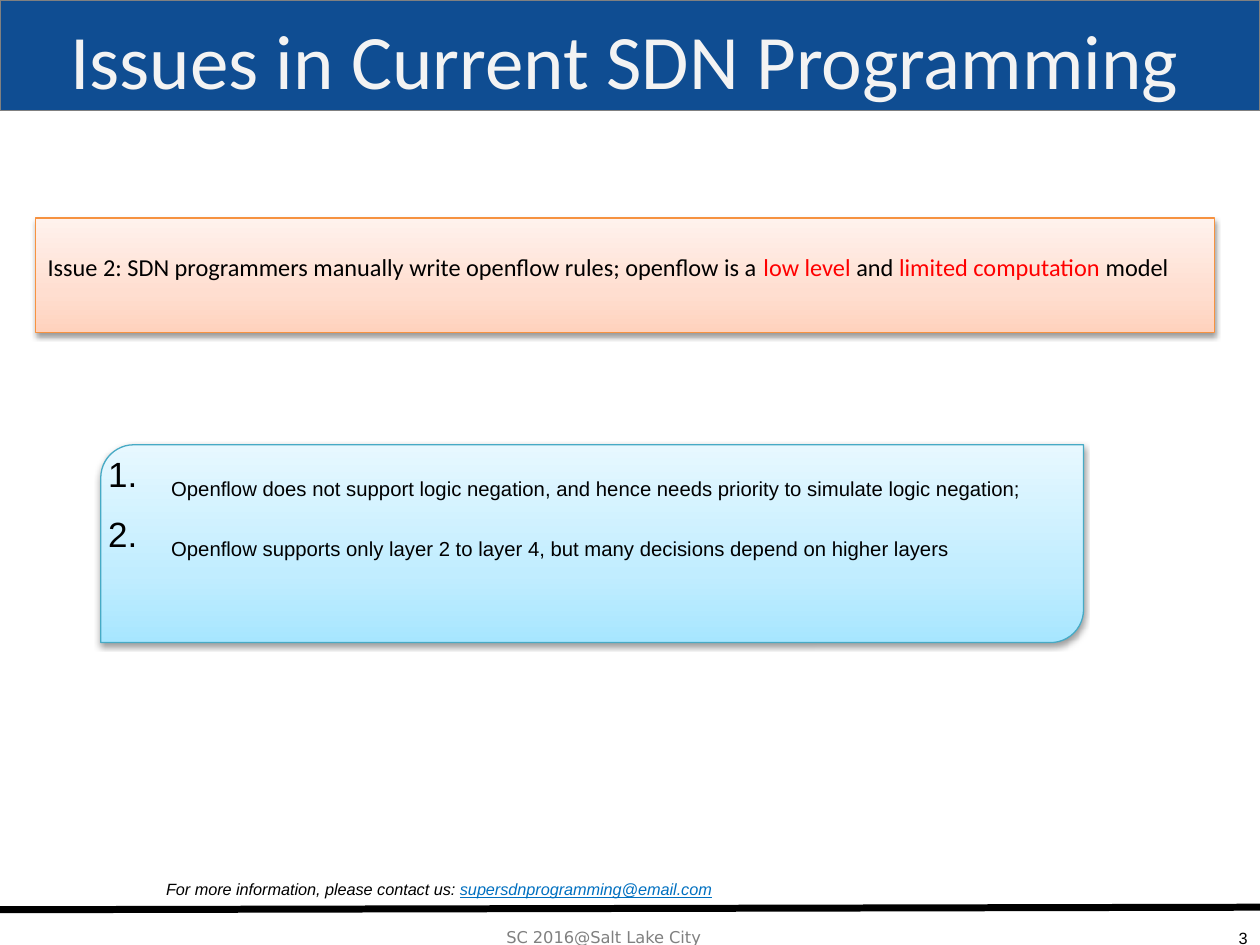
from copy import deepcopy

from lxml import etree
from pptx import Presentation, util as u
from pptx.dml.color import RGBColor
from pptx.enum import shapes, text
from pptx.oxml import ns, parse_xml

rgb = RGBColor.from_string
prs = Presentation()
prs.slide_width, prs.slide_height = u.Inches(10), u.Inches(7.5)
W, H = prs.slide_width, prs.slide_height
s = prs.slides.add_slide(prs.slide_layouts[5])

SHADOW = (f'<a:effectLst {ns.nsdecls("a")}><a:outerShdw blurRad="%d" dist="%d" dir="%d" '
          'rotWithShape="0"><a:srgbClr val="000000"><a:alpha val="%d"/></a:srgbClr>'
          '</a:outerShdw></a:effectLst>')


def at(left, top, width, height):
    """Turn percentages of the slide's size into lengths."""
    return [int(share * side / 100) for share, side in
            zip((left, top, width, height), (W, H, W, H))]


def write(sp, paragraphs, wrap=True, lowered=True, before=0,
          align=text.PP_ALIGN.LEFT, anchor=text.MSO_ANCHOR.TOP, **fonts):
    """Fill sp with paragraphs, each a list of (text, font values) runs."""
    tf = sp.text_frame
    tf.word_wrap, tf.vertical_anchor = wrap, anchor
    for i, runs in enumerate(paragraphs):
        p = tf.add_paragraph() if i else tf.paragraphs[0]
        p.alignment, p.space_before = align, u.Pt(before)
        for words, own in runs:
            r = p.add_run()
            r.text = words
            values = {"color": "000000", **fonts, **own}
            r.font.color.rgb = rgb(values.pop("color"))
            for name, value in values.items():
                setattr(r.font, name, value)
            if lowered:
                r._r.get_or_add_rPr().set("baseline", "-25000")
    return tf


# Header band, with the title on it
band = s.shapes.add_shape(shapes.MSO_SHAPE.RECTANGLE, *at(0, 0, 100, 11.73))
band.shadow.inherit = False
band.fill.solid()
band.fill.fore_color.rgb = rgb("0F4D92")
band.line.color.rgb = rgb("808080")
band.line.width = u.Pt(0.75)
s.shapes._spTree.insert(2, band._element)

title = s.shapes.title
title.left, title.top, title.width, title.height = at(2.8, 1.2, 93.6, 10)
tf = write(title, [[("Issues in Current SDN Programming", {})]], lowered=False,
           align=text.PP_ALIGN.CENTER, anchor=text.MSO_ANCHOR.MIDDLE,
           size=u.Pt(44), name="Calibri", color="F3F3F3")
tf.auto_size = text.MSO_AUTO_SIZE.NONE
rPr = tf.paragraphs[0].runs[0]._r.get_or_add_rPr()
rPr.find(ns.qn("a:solidFill")).addnext(parse_xml(SHADOW % (38100, 38100, 2700000, 43000)))

# Footer rule and conference name
rule = s.shapes.add_connector(shapes.MSO_CONNECTOR.STRAIGHT, *at(0, 96.27, 100, 96))
rule.line.color.rgb = rgb("000000")
rule.line.width = u.Pt(4)
etree.SubElement(rule._element.spPr, ns.qn("a:effectLst"))
venue = s.shapes.add_textbox(*at(39.2, 95.47, 29.4, 4.93))
tf = write(venue, [[("SC 2016@Salt Lake City", {})]], wrap=False,
           size=u.Pt(16), name="DejaVu Sans", color="808080")
tf.auto_size = text.MSO_AUTO_SIZE.SHAPE_TO_FIT_TEXT

# Shaded panels: gradient runs from the bottom up
panels = []
for shape, place, line, stops in [
    (shapes.MSO_SHAPE.RECTANGLE, at(2.8, 23.07, 93.6, 12.13), "F69240",
     ("FFD2BD", "FFDED0", "FFF2ED")),
    (shapes.MSO_SHAPE.ROUND_2_DIAG_RECTANGLE, at(8, 47.07, 78, 20.93), "46AAC5",
     ("A7E6FF", "C1EDFF", "E7F8FF")),
]:
    sp = s.shapes.add_shape(shape, *place)
    sp.fill.gradient()
    sp.fill.gradient_angle = 90
    first = sp._element.spPr.find(".//" + ns.qn("a:gs"))
    first.addnext(deepcopy(first))
    for stop, position, colour in zip(sp.fill.gradient_stops, (0, 0.35, 1), stops):
        stop.position, stop.color.rgb = position, rgb(colour)
    sp.line.color.rgb = rgb(line)
    sp.line.width = u.Pt(0.75)
    sp._element.spPr.append(parse_xml(SHADOW % (40000, 20000, 5400000, 38000)))
    panels.append(sp)

red = {"color": "FF0000"}
write(panels[0], [[
    ("Issue 2: SDN programmers manually write openflow rules; openflow is a ", {}),
    ("low level ", red), ("and ", {}), ("limited computation ", red), ("model", {}),
]], before=7, size=u.Pt(24), name="Calibri")

reasons = s.shapes.add_textbox(*at(7.6, 47.2, 78.3, 20.67))
tf = write(reasons, [
    [("Openflow does not support logic negation, and hence needs priority "
      "to simulate logic negation;", {})],
    [("Openflow supports only layer 2 to layer 4, but many decisions depend "
      "on higher layers", {})],
], before=7, size=u.Pt(20), name="Arial")
for p in tf.paragraphs:
    pPr = p._p.get_or_add_pPr()
    pPr.set("marL", str(u.Inches(0.5)))
    pPr.set("indent", str(-u.Inches(0.5)))
    etree.SubElement(pPr, ns.qn("a:buFont"), typeface="+mj-lt")
    etree.SubElement(pPr, ns.qn("a:buAutoNum"), type="arabicPeriod")
    pPr.find(ns.qn("a:buFont")).set("typeface", "Arial")

# Contact line and slide number
contact = s.shapes.add_textbox(*at(12.2, 90.4, 78.4, 4.93))
write(contact, [[
    ("For more information, please contact us: ", {}),
    ("supersdnprogramming@email.com", {"color": "0070C0", "underline": True}),
]], size=u.Pt(16), name="Arial", italic=True)
number = s.shapes.add_textbox(*at(79.2, 95.6, 20.8, 4.4))
write(number, [[("3", {})]], align=text.PP_ALIGN.RIGHT, size=u.Pt(16), name="Arial")

prs.save("out.pptx")
